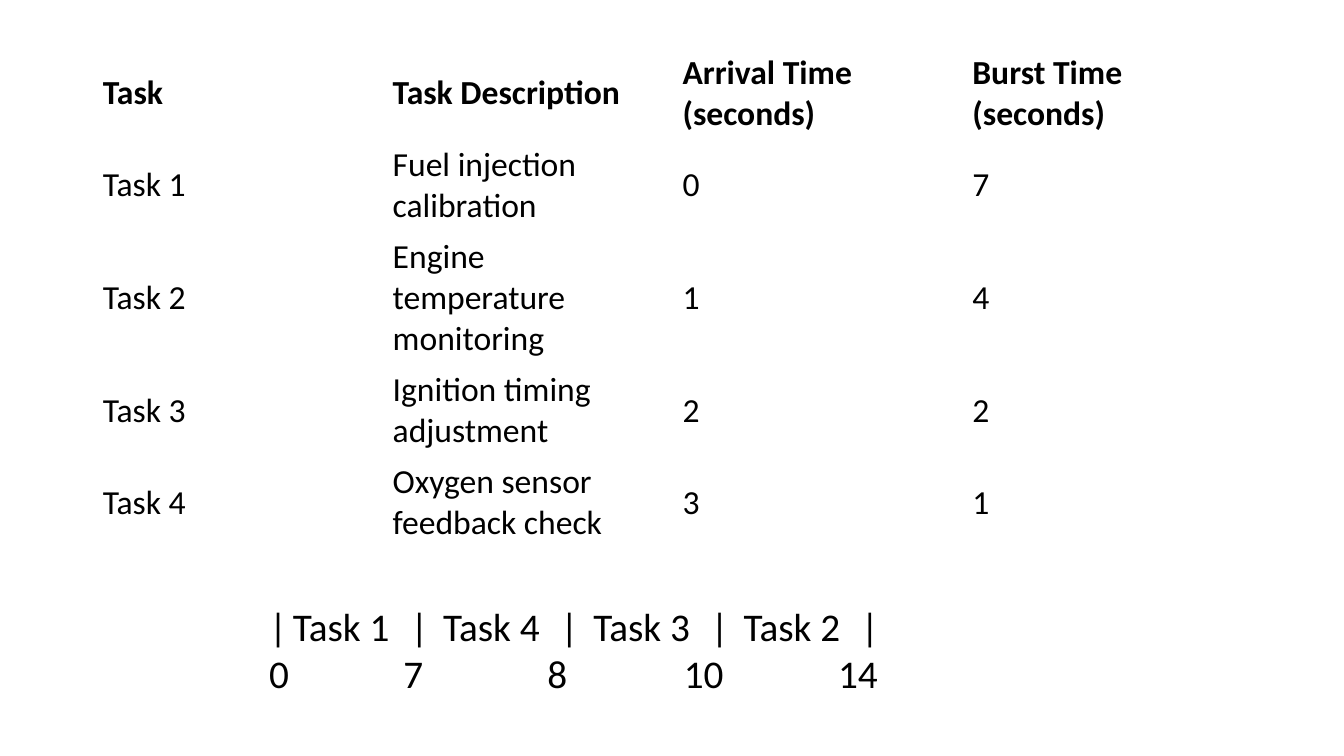
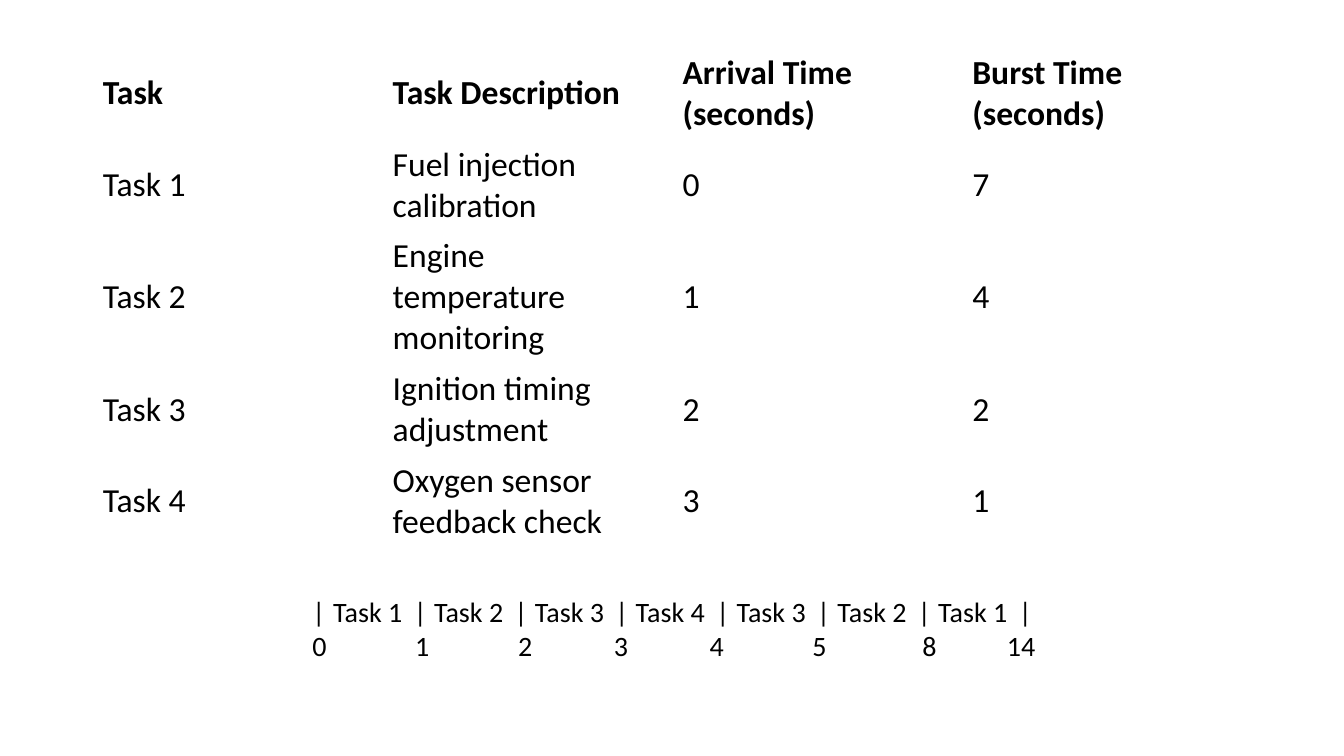
from lxml import etree
from pptx import Presentation
from pptx.dml.color import RGBColor
from pptx.enum.text import MSO_ANCHOR
from pptx.oxml.ns import qn
from pptx.util import Inches, Pt

MIDDLE = MSO_ANCHOR.MIDDLE
FONT, INK = "Calibri", "000000"
BLANK_LAYOUT = 6
TABLE_BOX = (0.92, 0.47, 11.5)
TABLE_SIZE = 24
LABEL_SHARE = 0.52

TASKS = [
    ("Task", "Task Description", "Arrival Time (seconds)", "Burst Time (seconds)"),
    ("Task 1", "Fuel injection calibration", "0", "7"),
    ("Task 2", "Engine temperature monitoring", "1", "4"),
    ("Task 3", "Ignition timing adjustment", "2", "2"),
    ("Task 4", "Oxygen sensor feedback check", "3", "1"),
]
ROW_HEIGHTS = (0.91, 0.91, 1.32, 0.91, 0.91)

SCHEDULES = [
    dict(box=(2.57, 5.93, 8.02, 1.04), size=28, start=0, step=1.49,
         order=(1, 4, 3, 2),
         times=("0", "7", "8", "10", "14"),
         time_stops=(1.43, 2.86, 4.31, 5.84)),
    dict(box=(3, 5.85, 8.32, 0.77), size=20, start=0.07, step=1,
         order=(1, 2, 3, 4, 3, 2, 1),
         times=("0", "1", "2", "3", "4", "5", "8", "14"),
         time_stops=(1.09, 2.11, 3.06, 4.01, 5.03, 6.12, 7.03)),
]


def color(value):
    """Turn a hex string into a colour."""
    return RGBColor.from_string(value)


def style(p, size, bold=False):
    """Give a paragraph the shared font."""
    p.font.name, p.font.size, p.font.bold = FONT, Pt(size), bold
    p.font.color.rgb = color(INK)


def set_tabs(p, stops):
    """Add centred tab stops, in inches, to a paragraph."""
    tabs = etree.SubElement(p._p.get_or_add_pPr(), qn("a:tabLst"))
    for stop in stops:
        etree.SubElement(tabs, qn("a:tab"), pos=str(Inches(stop)), algn="ctr")


def add_task_table(s, left, top, width):
    """Draw the plain task table with equal columns."""
    cols = len(TASKS[0])
    frame = s.shapes.add_table(len(TASKS), cols, Inches(left), Inches(top),
                               Inches(width), Inches(sum(ROW_HEIGHTS)))
    table = frame.table
    table.first_row = table.horz_banding = False
    for column in table.columns:
        column.width = Inches(width / cols)
    for i, values in enumerate(TASKS):
        table.rows[i].height = Inches(ROW_HEIGHTS[i])
        for j, value in enumerate(values):
            cell = table.cell(i, j)
            cell.fill.background()
            cell.vertical_anchor = MIDDLE
            p = cell.text_frame.paragraphs[0]
            p.text = value
            style(p, TABLE_SIZE, bold=i == 0)


def add_schedule(s, box, size, start, step, order, times, time_stops):
    """Write the order of tasks above the times at which they change."""
    tf = s.shapes.add_textbox(*map(Inches, box)).text_frame
    tf.word_wrap = True
    parts, stops = ["|"], []
    for k, task in enumerate(order, 1):
        bar = start + step * k
        parts += [f"Task {task}", "|"]
        stops += [bar - LABEL_SHARE * step, bar]
    lines = [(parts, stops), (times, time_stops)]
    for p, (words, tabs) in zip((tf.paragraphs[0], tf.add_paragraph()), lines):
        p.text = "\t".join(words)
        set_tabs(p, tabs)
        style(p, size)


def main():
    """Build one slide for each schedule."""
    prs = Presentation()
    prs.slide_width, prs.slide_height = Inches(13.33), Inches(7.5)
    for schedule in SCHEDULES:
        s = prs.slides.add_slide(prs.slide_layouts[BLANK_LAYOUT])
        add_task_table(s, *TABLE_BOX)
        add_schedule(s, **schedule)
    prs.save("out.pptx")


if __name__ == "__main__":
    main()
